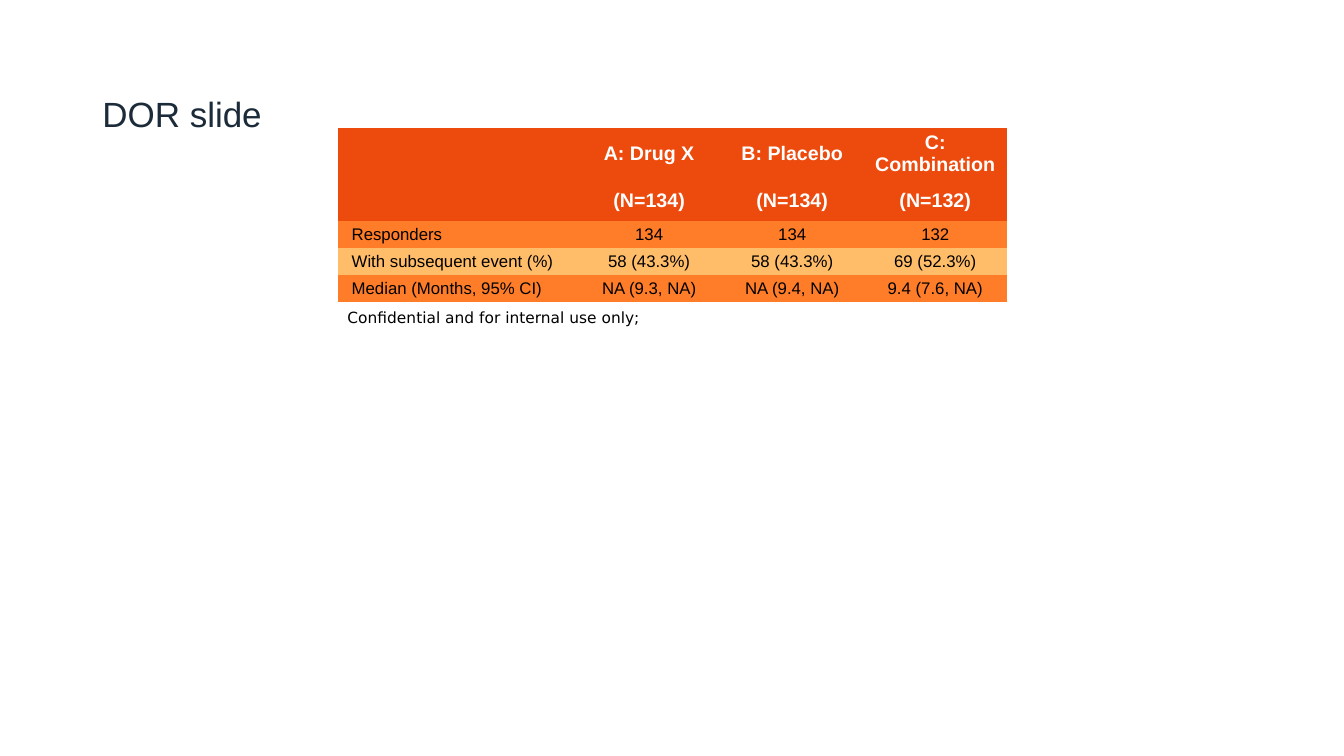
from pptx import Presentation
from pptx.dml.color import RGBColor
from pptx.enum.text import MSO_ANCHOR, PP_ALIGN
from pptx.util import Pt

TITLE = "DOR slide"
ROWS = [
    ("", "A: Drug X", "B: Placebo", "C: Combination"),
    ("", "(N=134)", "(N=134)", "(N=132)"),
    ("Responders", "134", "134", "132"),
    ("With subsequent event (%)", "58 (43.3%)", "58 (43.3%)", "69 (52.3%)"),
    ("Median (Months, 95% CI)", "NA (9.3, NA)", "NA (9.4, NA)", "9.4 (7.6, NA)"),
]
NOTE = "Confidential and for internal use only;"

LEFT, TOP = 241.2, 91.4
WIDTHS = [171.4, 102.2, 102.2, 102.2]
HEIGHTS = [20.9, 20.9, 19.4, 19.4, 19.4, 18]
HEADS = 2
HEAD_FILL, BANDS = "ED4A0D", ("FF7D29", "FFBD69")
HEAD = {"name": "Arial", "size": Pt(14), "bold": True}
BODY = {"name": "Arial", "size": Pt(12), "bold": False}
FOOT = {"name": "DejaVu Sans", "size": Pt(11), "bold": False}
PLAIN = "{2D5ABB26-0587-4C30-8999-92F81FD0307C}"


def paint(color, value):
    color.rgb = RGBColor.from_string(value)


def style(item, values):
    """Set each attribute of item from a dict."""
    for name, value in values.items():
        setattr(item, name, value)


def write(cell, text, font, color, align, indent, pad, gap):
    """Fill a cell with one formatted paragraph."""
    style(cell, {"margin_left": 0, "margin_right": 0,
                 "margin_top": Pt(pad), "margin_bottom": Pt(pad),
                 "vertical_anchor": MSO_ANCHOR.MIDDLE})
    para = cell.text_frame.paragraphs[0]
    style(para, {"alignment": align, "space_before": Pt(gap),
                 "space_after": Pt(gap)})
    props = para._p.get_or_add_pPr()
    for side, size in (("marL", indent), ("marR", 5), ("indent", 0)):
        props.set(side, str(Pt(size)))
    run = para.add_run()
    run.text = text
    style(run.font, font)
    paint(run.font.color, color)


def add_title(slide):
    title = slide.shapes.title
    style(title, {"left": Pt(66), "top": Pt(28.8),
                  "width": Pt(828), "height": Pt(104.4)})
    title.text_frame.vertical_anchor = MSO_ANCHOR.MIDDLE
    para = title.text_frame.paragraphs[0]
    para.alignment = PP_ALIGN.LEFT
    run = para.add_run()
    run.text = TITLE
    style(run.font, {"name": "Arial", "size": Pt(25)})
    paint(run.font.color, "1C2B39")


def add_grid(slide):
    frame = slide.shapes.add_table(
        len(HEIGHTS), len(WIDTHS), Pt(LEFT), Pt(TOP),
        Pt(sum(WIDTHS)), Pt(sum(HEIGHTS)))
    table = frame.table
    table._tbl.tblPr.find("{*}tableStyleId").text = PLAIN
    style(table, {"first_row": False, "horz_banding": False})
    for col, width in zip(table.columns, WIDTHS):
        col.width = Pt(width)
    for row, height in zip(table.rows, HEIGHTS):
        row.height = Pt(height)

    for r, row in enumerate(ROWS):
        head = r < HEADS
        fill = HEAD_FILL if head else BANDS[(r - HEADS) % 2]
        for c, text in enumerate(row):
            cell = table.cell(r, c)
            cell.fill.solid()
            paint(cell.fill.fore_color, fill)
            if text:
                write(cell, text, HEAD if head else BODY,
                      "FFFFFF" if head else "000000",
                      PP_ALIGN.CENTER if c else PP_ALIGN.LEFT,
                      5 if c else 10, 2.9, 3)

    last = len(ROWS)
    foot = table.cell(last, 0)
    foot.merge(table.cell(last, len(WIDTHS) - 1))
    foot.fill.background()
    write(foot, NOTE, FOOT, "000000", PP_ALIGN.LEFT, 7, 5, 5)


def main():
    deck = Presentation()
    style(deck, {"slide_width": Pt(960), "slide_height": Pt(540)})
    slide = deck.slides.add_slide(deck.slide_layouts[5])
    add_grid(slide)
    add_title(slide)
    deck.save("out.pptx")


if __name__ == "__main__":
    main()
